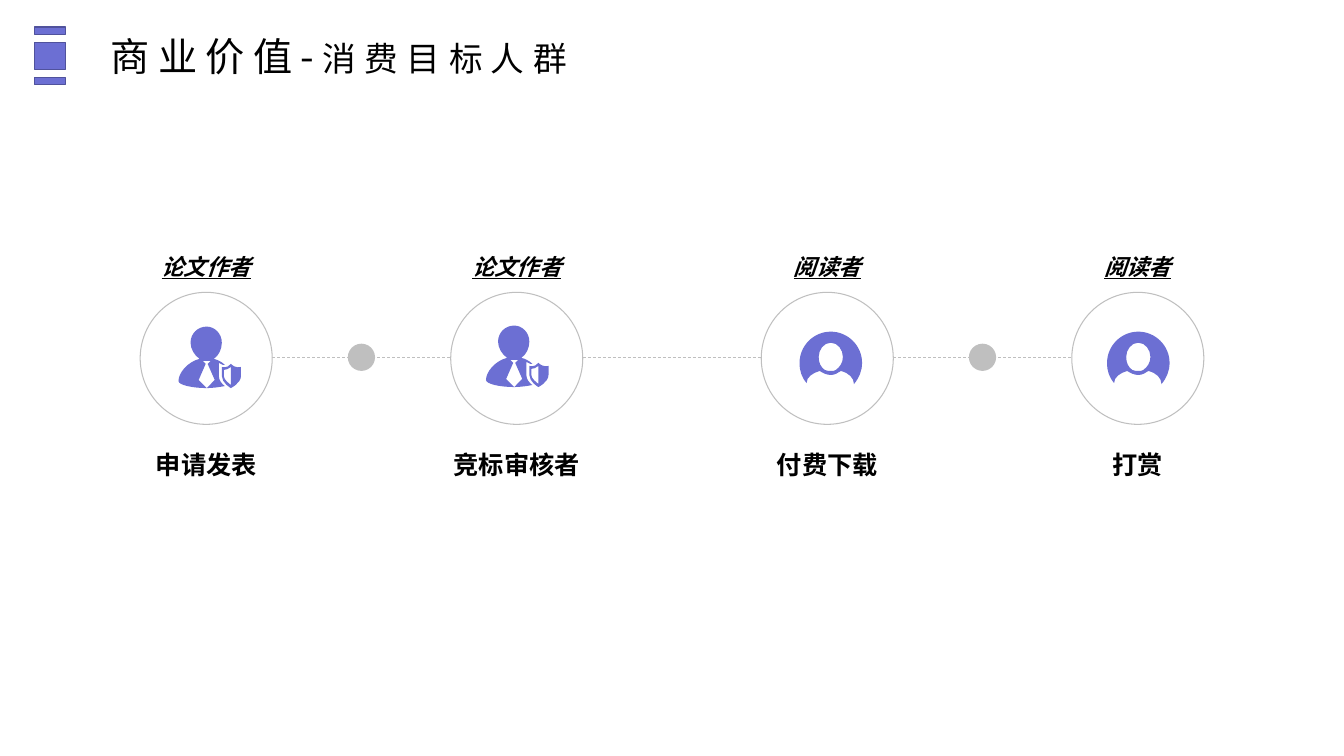
from dataclasses import dataclass

from lxml import etree
from pptx import Presentation
from pptx import util as u
from pptx.dml.color import RGBColor
from pptx.enum import dml, shapes, text
from pptx.oxml.ns import qn

PX = 9144  # EMU per px, 100 px to the inch
FONT = "Noto Sans CJK SC"
VIOLET, VIOLET_DARK, GREY, WHITE, BLACK = "6C6FD3", "50529C", "BFBFBF", "FFFFFF", "000000"

AUTHOR_ICON = """
M 52 40 C 50 42 47 43 45 43 L 45 49 C 45 53 50 56 52 58 Z
M 52 37 C 57 42 62 40 62 40 L 62 49 C 62 56 52 61 52 61
C 52 61 43 56 43 49 L 43 40 C 43 40 48 42 52 37 Z
M 28 0 C 36 0 43 7 43 16 C 43 22 40 29 35 32 C 39 33 43 35 46 38
C 45 38 44 38 44 38 L 40 36 L 40 49 C 40 53 43 57 46 59
C 41 60 34 61 28 61 L 36 53 L 29 37 L 32 34 C 30 34 29 34 28 34
C 26 34 25 34 24 34 L 27 37 L 20 53 L 28 61 C 14 61 0 58 0 54
C 0 46 9 35 21 32 C 16 29 12 22 12 16 C 12 7 19 0 28 0 Z"""
READER_ICON = """
M 31 0 C 14 0 0 14 0 31 C 0 39 2 45 7 51 C 7 45 13 41 20 39
C 23 41 27 43 31 43 C 35 43 38 41 41 39 C 49 41 54 46 54 52
C 59 46 62 39 62 31 C 62 14 48 0 31 0 Z
M 31 39 C 29 39 27 39 25 38 C 21 35 19 31 19 25 C 19 18 24 11 31 11
C 38 11 43 18 43 25 C 43 31 40 35 36 38 C 35 39 33 39 31 39 Z"""


@dataclass
class Stage:
    role: str
    action: str
    icon: str
    icon_dx: int
    icon_y: int


STAGES = [
    Stage("论文作者", "申请发表", AUTHOR_ICON, 38, 324),
    Stage("论文作者", "竞标审核者", AUTHOR_ICON, 35, 323),
    Stage("阅读者", "付费下载", READER_ICON, 38, 329),
    Stage("阅读者", "打赏", READER_ICON, 35, 329),
]
LEFT, PITCH, CIRCLE, CIRCLE_TOP, AXIS = 139, 308, 131, 290, 355
DOT = 27
DOTTED_GAPS = (0, 2)


def px(n: float) -> u.Emu:
    return u.Emu(round(n * PX))


def rgb(colour: str) -> RGBColor:
    return RGBColor.from_string(colour)


def paint(sp, fill: str, line: str = "", width: float = 0) -> None:
    sp.shadow.inherit = False
    sp.fill.solid()
    sp.fill.fore_color.rgb = rgb(fill)
    if line:
        sp.line.color.rgb = rgb(line)
        sp.line.width = u.Pt(width)
    else:
        sp.line.fill.background()


def add_preset(s, kind, x: int, y: int, w: int, h: int,
               fill: str, line: str = "", width: float = 0) -> None:
    paint(s.shapes.add_shape(kind, px(x), px(y), px(w), px(h)), fill, line, width)


def add_dashed_line(s, x1: int, x2: int, y: int) -> None:
    cx = s.shapes.add_connector(shapes.MSO_CONNECTOR.STRAIGHT, px(x1), px(y), px(x2), px(y))
    cx.line.color.rgb = rgb(GREY)
    cx.line.width = u.Pt(0.5)
    cx.line.dash_style = dml.MSO_LINE.DASH
    etree.SubElement(cx._element.spPr, qn("a:effectLst"))


def bend(sp, commands: list[str]) -> None:
    """Merge each three line segments that stand for a C command into a cubic curve."""
    outline = next(sp._element.iter(qn("a:path")))
    segments = iter(list(outline))
    for command in commands:
        segment = next(segments)
        if command == "C":
            segment.tag = qn("a:cubicBezTo")
            for _ in range(2):
                extra = next(segments)
                segment.append(extra[0])
                outline.remove(extra)


def add_icon(s, icon: str, x: int, y: int) -> None:
    tokens = icon.split()
    commands = [t for t in tokens if t.isalpha()]
    contours = []
    for contour in icon.replace("Z", "").split("M")[1:]:
        numbers = [int(t) for t in contour.split() if t.isdigit()]
        contours.append(list(zip(numbers[::2], numbers[1::2])))
    fb = s.shapes.build_freeform(*contours[0][0], scale=PX)
    for i, points in enumerate(contours):
        if i:
            fb.move_to(*points[0])
        fb.add_line_segments(points[1:], close=True)
    sp = fb.convert_to_shape(px(x), px(y))
    bend(sp, commands)
    paint(sp, VIOLET)


def format_run(r, size: int) -> None:
    r.font.size = u.Pt(size)
    r.font.name = FONT
    r.font.color.rgb = rgb(BLACK)
    etree.SubElement(r._r.get_or_add_rPr(), qn("a:ea")).set("typeface", FONT)


def add_text_box(s, x: float, y: int, w: int, h: int):
    tf = s.shapes.add_textbox(px(x), px(y), px(w), px(h)).text_frame
    tf.word_wrap = True
    return tf


def add_label(s, content: str, centre: float, y: int, w: int, h: int, size: int,
              emphasis: bool = False) -> None:
    tf = add_text_box(s, centre - w / 2, y, w, h)
    tf.vertical_anchor = text.MSO_ANCHOR.MIDDLE
    tf.text = content
    p = tf.paragraphs[0]
    p.alignment = text.PP_ALIGN.CENTER
    r = p.runs[0]
    format_run(r, size)
    r.font.bold = True
    if emphasis:
        r.font.italic = r.font.underline = True


def add_title(s) -> None:
    emblem = s.shapes.add_group_shape()
    for y, h in ((42, 27), (77, 7), (27, 7)):
        add_preset(emblem, shapes.MSO_SHAPE.RECTANGLE, 34, y, 31, h, VIOLET, VIOLET_DARK, 1)
    tf = add_text_box(s, 100, 27, 544, 57)
    tf.auto_size = text.MSO_AUTO_SIZE.SHAPE_TO_FIT_TEXT
    for content, size in (("商业价值-", 28), ("消费目标人群", 24)):
        r = tf.paragraphs[0].add_run()
        r.text = content
        format_run(r, size)
        r._r.get_or_add_rPr().set("spc", "600")


def add_stages(s) -> None:
    flow = s.shapes.add_group_shape()
    oval = shapes.MSO_SHAPE.OVAL
    for i in range(len(STAGES) - 1):
        x1, x2 = LEFT + i * PITCH + CIRCLE, LEFT + (i + 1) * PITCH
        add_dashed_line(flow, x1, x2, AXIS)
        if i in DOTTED_GAPS:
            add_preset(flow, oval, (x1 + x2 - DOT) // 2, AXIS - DOT // 2 - 1, DOT, DOT, GREY)
    for i, stage in enumerate(STAGES):
        x = LEFT + i * PITCH
        centre = x + CIRCLE / 2
        add_preset(flow, oval, x, CIRCLE_TOP, CIRCLE, CIRCLE, WHITE, GREY, 0.75)
        add_icon(flow, stage.icon, x + stage.icon_dx, stage.icon_y)
        add_label(flow, stage.role, centre, 242, 145, 44, 16, emphasis=True)
        add_label(flow, stage.action, centre, 437, 262, 48, 18)


def main() -> None:
    prs = Presentation()
    prs.slide_width, prs.slide_height = px(1333), px(750)
    s = prs.slides.add_slide(prs.slide_layouts[6])
    add_title(s)
    add_stages(s)
    prs.save("out.pptx")


if __name__ == "__main__":
    main()
